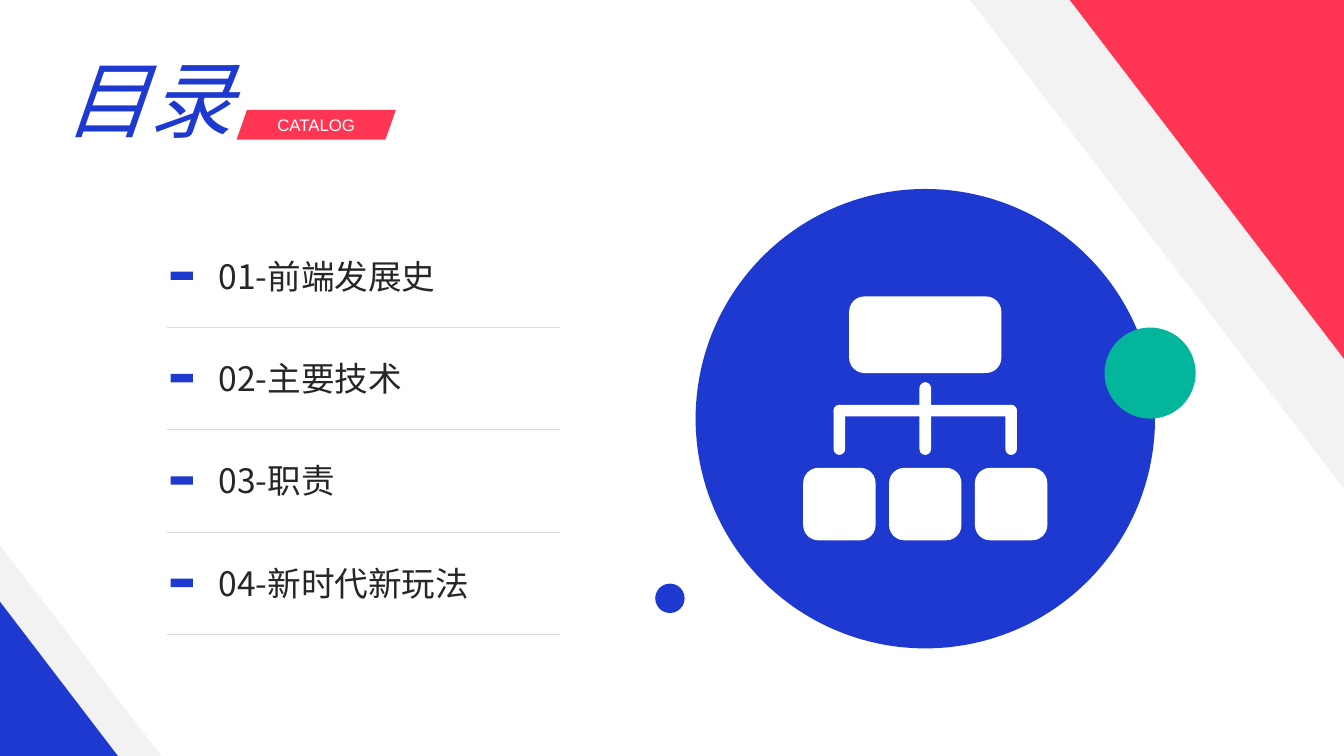
from dataclasses import dataclass

from lxml.etree import SubElement
from pptx import Presentation
from pptx.dml.color import RGBColor
from pptx.enum.shapes import MSO_CONNECTOR as Connector, MSO_SHAPE as Preset
from pptx.enum.text import MSO_ANCHOR as Anchor, MSO_AUTO_SIZE as AutoSize, PP_ALIGN as Align
from pptx.oxml.ns import qn
from pptx.util import Inches, Pt

COLUMNS = 128
ROWS = 72


@dataclass(frozen=True)
class Theme:
    blue: str = "1E39D0"
    red: str = "FF3653"
    green: str = "02B59B"
    pale: str = "F2F2F2"
    rule: str = "D9D9D9"
    ink: str = "262626"
    white: str = "FFFFFF"
    latin: str = "Arial"
    chinese: str = "Noto Sans CJK SC"
    title_size: int = 60
    item_size: int = 24
    tag_size: int = 12
    rule_width: float = 0.5


class SlideBuilder:
    def __init__(self, presentation, theme):
        self.theme = theme
        self.slide = presentation.slides.add_slide(presentation.slide_layouts[6])
        self.column = presentation.slide_width / COLUMNS
        self.row = presentation.slide_height / ROWS

    def place(self, left, top, width, height):
        return (round(left * self.column), round(top * self.row),
                round(width * self.column), round(height * self.row))

    def shape(self, preset, left, top, width, height, color, adjustment=None):
        shape = self.slide.shapes.add_shape(preset, *self.place(left, top, width, height))
        shape.shadow.inherit = False
        shape.fill.solid()
        shape.fill.fore_color.rgb = RGBColor.from_string(color)
        shape.line.fill.background()
        if adjustment is not None:
            shape.adjustments[0] = adjustment
        return shape

    def circle(self, left, top, diameter, color):
        return self.shape(Preset.OVAL, left, top, diameter, diameter, color)

    def bottom_left_corner(self, width, height, color):
        return self.shape(Preset.ISOSCELES_TRIANGLE, 0, ROWS - height, width, height, color, 0)

    def top_right_corner(self, width, height, color):
        shape = self.shape(Preset.ISOSCELES_TRIANGLE, COLUMNS - width, 0, width, height, color, 0)
        shape.rotation = 180

    def rounded(self, center, top, width, height, roundness):
        return self.shape(Preset.ROUNDED_RECTANGLE, center - width / 2, top, width, height,
                          self.theme.white, roundness)

    def rule(self, left, right, y):
        x1, y1, width, _ = self.place(left, y, right - left, 0)
        line = self.slide.shapes.add_connector(Connector.STRAIGHT, x1, y1, x1 + width, y1)
        line.line.color.rgb = RGBColor.from_string(self.theme.rule)
        line.line.width = Pt(self.theme.rule_width)
        SubElement(line.element.spPr, qn("a:effectLst"))

    def set_text(self, shape, text, size, font_name, color, align, italic=None):
        shape.text_frame.text = text
        shape.text_frame.word_wrap = True
        paragraph = shape.text_frame.paragraphs[0]
        paragraph.alignment = align
        for run in paragraph.runs:
            run.font.size = Pt(size)
            run.font.italic = italic
            run.font.color.rgb = RGBColor.from_string(color)
            run.font.name = font_name
            SubElement(run.font._element, qn("a:ea")).set("typeface", font_name)

    def text(self, left, top, width, height, text, size, color, align=Align.LEFT, italic=None):
        box = self.slide.shapes.add_textbox(*self.place(left, top, width, height))
        self.set_text(box, text, size, self.theme.chinese, color, align, italic)
        box.text_frame.auto_size = AutoSize.SHAPE_TO_FIT_TEXT

    def tag(self, left, top, width, height, text):
        shape = self.shape(Preset.PARALLELOGRAM, left, top, width, height, self.theme.red, 0.35)
        shape.text_frame.vertical_anchor = Anchor.MIDDLE
        self.set_text(shape, text, self.theme.tag_size, self.theme.latin,
                      self.theme.white, Align.CENTER)

    def agenda(self, items, first_rule, pitch):
        for index, item in enumerate(items):
            y = first_rule + index * pitch
            self.shape(Preset.RECTANGLE, 16.25, y - 5.3, 2.13, 0.8, self.theme.blue)
            self.text(19.87, y - 7.3, 30.62, 4.85, f"{index + 1:02}-{item}",
                      self.theme.item_size, self.theme.ink)
            self.rule(15.92, 53.35, y)

    def hierarchy_icon(self, center, top):
        pitch, stroke, arm_top, arm_end = 8.18, 1.1, 10.33, 15.1
        self.rounded(center, top, 14.5, 7.3, 0.2)
        self.rounded(center, top + arm_top, 2 * pitch + stroke, stroke, 0.5)
        for offset, branch_top in ((-pitch, arm_top), (0, 8.17), (pitch, arm_top)):
            self.rounded(center + offset, top + branch_top, stroke, arm_end - branch_top, 0.5)
            self.rounded(center + offset, top + 16.33, 6.9, 6.9, 0.21)


def main():
    presentation = Presentation()
    presentation.slide_width = Inches(13.33)
    presentation.slide_height = Inches(7.5)
    theme = Theme()
    builder = SlideBuilder(presentation, theme)

    builder.bottom_left_corner(15.36, 20.06, theme.pale)
    builder.top_right_corner(35.6, 46.56, theme.pale)
    builder.bottom_left_corner(11.23, 14.69, theme.blue)
    builder.top_right_corner(26.11, 34.18, theme.red)

    builder.tag(22.53, 10.46, 15.17, 2.83, "CATALOG")
    builder.text(5.18, 4.03, 20.45, 10.66, "目录", theme.title_size, theme.blue,
                 Align.JUSTIFY, italic=True)
    builder.agenda(["前端发展史", "主要技术", "职责", "新时代新玩法"], 31.17, 9.75)

    builder.circle(66.25, 18, 43.75, theme.blue)
    builder.circle(62.4, 55.58, 2.8, theme.blue)
    builder.hierarchy_icon(88.12, 28.23)
    builder.circle(105.2, 31.2, 8.67, theme.green)

    presentation.save("out.pptx")


if __name__ == "__main__":
    main()
